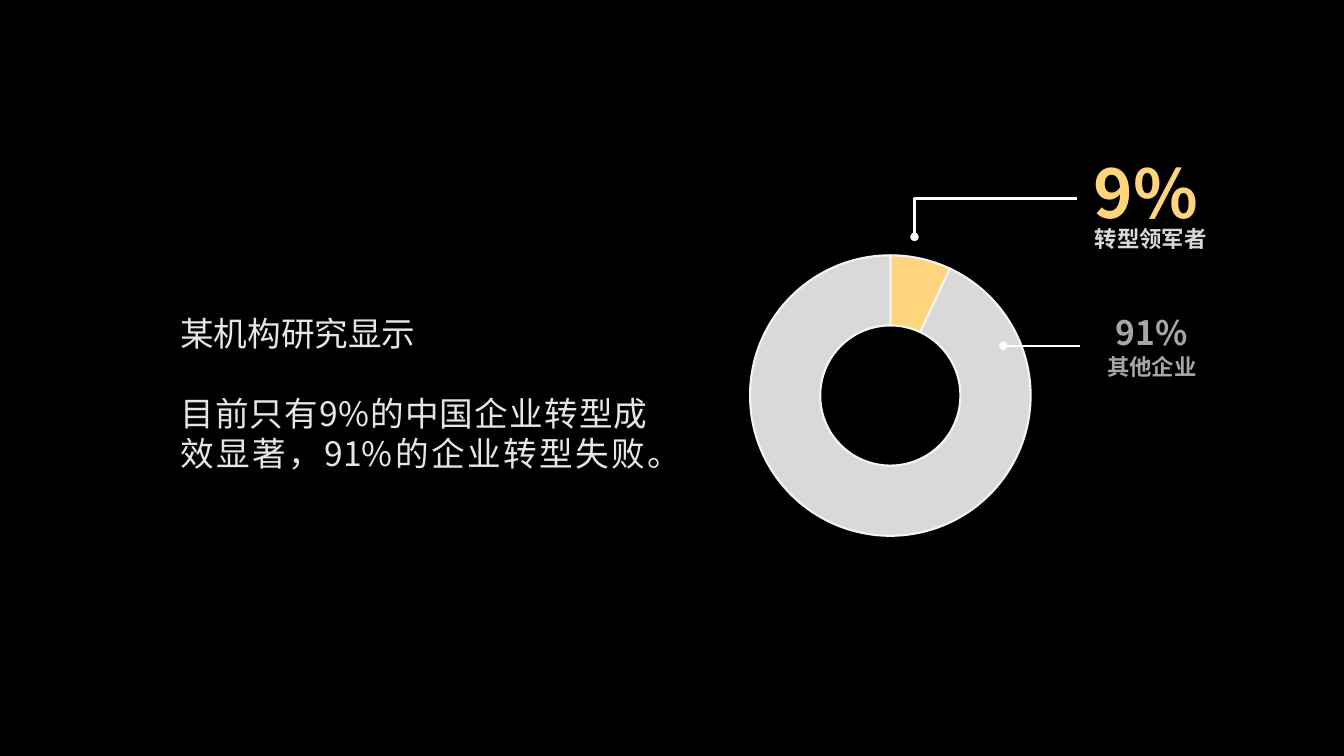
from lxml.etree import SubElement
from pptx import Presentation
from pptx.chart.data import CategoryChartData
from pptx.dml.color import RGBColor
from pptx.enum.chart import XL_CHART_TYPE
from pptx.enum.shapes import MSO_CONNECTOR
from pptx.enum.text import MSO_AUTO_SIZE, PP_ALIGN
from pptx.oxml import parse_xml
from pptx.oxml.ns import nsdecls, qn
from pptx.util import Inches, Pt

FONT = "Noto Sans CJK SC"
GOLD = "FED47D"
SILVER = "D9D9D9"
ASH = "A6A6A6"
WHITE = "FFFFFF"


def color(code):
    return RGBColor.from_string(code)


def add_text(slide, box, rows, align, bold=True, gap=0):
    shape = slide.shapes.add_textbox(*map(Inches, box))
    frame = shape.text_frame
    frame.word_wrap = True
    frame.auto_size = MSO_AUTO_SIZE.SHAPE_TO_FIT_TEXT
    for i, (words, size, code) in enumerate(rows):
        para = frame.paragraphs[0] if i == 0 else frame.add_paragraph()
        para.alignment = align
        if i and gap:
            para.space_before = Pt(gap)
        run = para.add_run()
        run.text = words
        font = run.font
        font.size = Pt(size)
        font.bold = bold
        font.name = FONT
        font.color.rgb = color(code)
        SubElement(font._element, qn("a:ea"), typeface=FONT)


def add_lead(slide, kind, start, end, width):
    lead = slide.shapes.add_connector(kind, *map(Inches, start + end))
    lead.line.color.rgb = color(WHITE)
    lead.line.width = Pt(width)
    SubElement(lead.line._get_or_add_ln(), qn("a:headEnd"), type="oval")
    SubElement(lead._element.spPr, qn("a:effectLst"))
    return lead


def add_ring(slide, box):
    data = CategoryChartData()
    data.categories = ["1", "2"]
    data.add_series("Series 1", (7, 93))
    frame = slide.shapes.add_chart(
        XL_CHART_TYPE.DOUGHNUT, *map(Inches, box), data)
    chart = frame.chart
    chart.has_legend = False
    chart.has_title = False
    chart.font.name = FONT
    chart.font.size = Pt(10)
    chart.font.color.rgb = color("000000")
    plot = chart.plots[0]
    plot.vary_by_categories = True
    for i, code in enumerate((GOLD, SILVER)):
        style = plot.series[0].points[i].format
        style.fill.solid()
        style.fill.fore_color.rgb = color(code)
        style.line.color.rgb = color("F4F4F4")
        style.line.width = Pt(1.5)
    area = chart._chartSpace.chart.plotArea
    area.find(".//" + qn("c:holeSize")).set("val", "62")
    for old in area.findall(qn("c:layout")):
        area.remove(old)
    sizes = {"x": 0.14, "y": 0.03, "w": 0.71, "h": 0.92}
    marks = '<c:layoutTarget val="inner"/>'
    marks += '<c:xMode val="edge"/><c:yMode val="edge"/>'
    marks += "".join(f'<c:{k} val="{v}"/>' for k, v in sizes.items())
    area.insert(0, parse_xml(
        f'<c:layout {nsdecls("c")}><c:manualLayout>{marks}'
        '</c:manualLayout></c:layout>'))


def add_story(slide, box):
    rows = [("某机构研究显示", 24, "E7E6E6"),
            ("目前只有9%的中国企业转型成效显著，91%的企业转型失败。", 24, "E7E6E6")]
    add_text(slide, box, rows, PP_ALIGN.JUSTIFY, bold=False, gap=28.8)


def add_figure(slide, left, top):
    add_ring(slide, (left, top, 3.92, 3.03))
    bend = add_lead(slide, MSO_CONNECTOR.ELBOW, (left + 2.18, top - 0.09),
                    (left + 3.79, top - 0.47), 2)
    guides = bend._element.spPr.find(qn("a:prstGeom")).get_or_add_avLst()
    SubElement(guides, qn("a:gd"), name="adj1", fmla="val 100")
    add_lead(slide, MSO_CONNECTOR.STRAIGHT, (left + 3.06, top + 0.99),
             (left + 3.82, top + 0.99), 1.75)
    add_text(slide, (left + 3.79, top - 0.99, 1.37, 0.91),
             [("9%", 48, GOLD)], PP_ALIGN.CENTER)
    add_text(slide, (left + 3.87, top - 0.26, 1.32, 0.37),
             [("转型领军者", 16, SILVER)], PP_ALIGN.LEFT)
    add_text(slide, (left + 3.85, top + 0.61, 1.37, 0.77),
             [("91%", 24, ASH), ("其他企业", 16, ASH)], PP_ALIGN.CENTER)


def main():
    deck = Presentation()
    deck.slide_width = Inches(13.33)
    deck.slide_height = Inches(7.5)
    slide = deck.slides.add_slide(deck.slide_layouts[6])
    fill = slide.background.fill
    fill.solid()
    fill.fore_color.rgb = color("000000")
    add_figure(slide, 6.89, 2.44)
    add_story(slide, (1.69, 3.05, 4.83, 1.72))
    deck.save("out.pptx")


if __name__ == "__main__":
    main()
